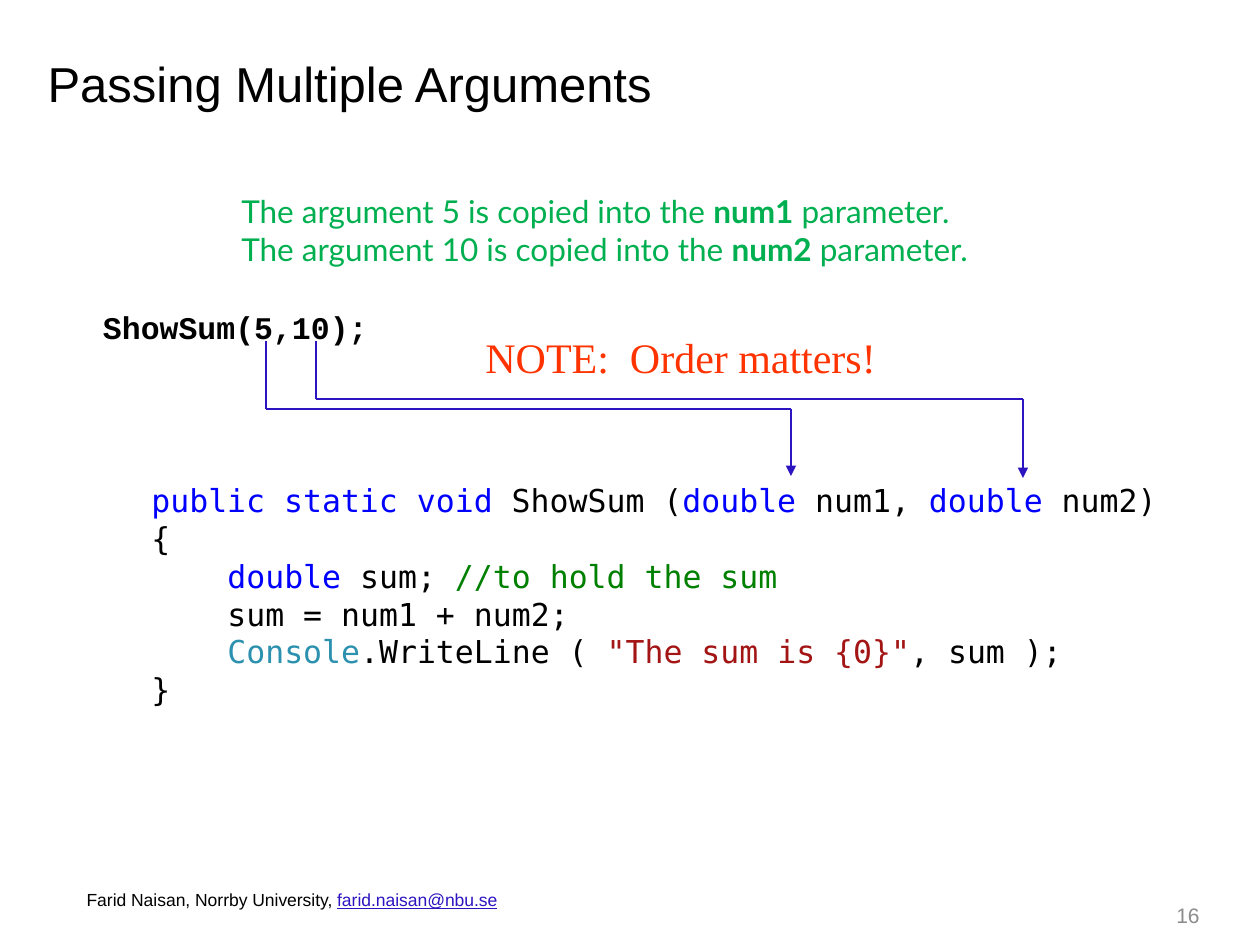
from dataclasses import dataclass
from itertools import pairwise

from lxml.etree import SubElement
from pptx import Presentation
from pptx.dml.color import RGBColor
from pptx.enum.shapes import MSO_CONNECTOR
from pptx.enum.text import MSO_ANCHOR, MSO_AUTO_SIZE, PP_ALIGN
from pptx.oxml.ns import qn
from pptx.util import Pt

EMU_PER_PX = 914400 // 126


@dataclass(frozen=True)
class Theme:
    black: str = "000000"
    accent: str = "2C14C1"
    explanation: str = "00B050"
    warning: str = "FF3300"
    page: str = "8C8C8C"
    keyword: str = "0000FF"
    comment: str = "008000"
    type_name: str = "2B91AF"
    string: str = "A31515"
    sans: str = "Arial"
    call_font: str = "Courier New"
    code_font: str = "DejaVu Sans Mono"
    explanation_font: str = "Lato"
    warning_font: str = "Times New Roman"
    title_size: int = 28
    warning_size: int = 24
    body_size: int = 18
    page_size: int = 12
    footer_size: int = 10
    line_width: float = 0.75


THEME = Theme()


def px(value):
    return round(value * EMU_PER_PX)


def place(shape, box):
    shape.left, shape.top, shape.width, shape.height = map(px, box)


def style(paragraph, font, size, color=THEME.black, bold=None, align=PP_ALIGN.LEFT):
    paragraph.font.name = font
    paragraph.font.size = Pt(size)
    paragraph.font.color.rgb = RGBColor.from_string(color)
    paragraph.font.bold = bold
    paragraph.alignment = align
    paragraph.space_before = Pt(0)


def text_frame(slide, box, anchor=MSO_ANCHOR.TOP):
    frame = slide.shapes.add_textbox(*map(px, box)).text_frame
    frame.word_wrap = True
    frame.vertical_anchor = anchor
    return frame


def add_run(paragraph, text, color=None):
    run = paragraph.add_run()
    run.text = text
    if color:
        run.font.color.rgb = RGBColor.from_string(color)
    return run


# Title and method call, in the layout's placeholders
def add_title(slide, box, text):
    title = slide.shapes.title
    place(title, box)
    frame = title.text_frame
    frame.text = text
    frame.auto_size = MSO_AUTO_SIZE.NONE
    frame.vertical_anchor = MSO_ANCHOR.MIDDLE
    style(frame.paragraphs[0], THEME.sans, THEME.title_size)


def add_call(slide, box, text):
    body = slide.placeholders[1]
    place(body, box)
    frame = body.text_frame
    frame.text = text
    frame.auto_size = MSO_AUTO_SIZE.NONE
    frame.margin_left, frame.margin_top = px(50), px(134)
    call = frame.paragraphs[0]
    style(call, THEME.call_font, THEME.body_size, bold=True)
    properties = call._p.get_or_add_pPr()
    properties.set("marL", "0")
    properties.set("indent", "0")
    SubElement(properties, qn("a:buNone"))


# Explanation of which argument goes where
def add_explanation(slide, box, copies):
    paragraph = text_frame(slide, box).paragraphs[0]
    style(paragraph, THEME.explanation_font, THEME.body_size, THEME.explanation)
    for index, (argument, parameter) in enumerate(copies):
        if index:
            paragraph.add_line_break()
        add_run(paragraph, f"The argument {argument} is copied into the ")
        add_run(paragraph, parameter).font.bold = True
        add_run(paragraph, " parameter.")


# Paths from each argument down, across and down to its parameter
def add_argument_paths(slide, box, routes):
    left, top, _, _ = box
    for start, turn, end, tip in routes:
        corners = [(start, 0), (start, turn), (end, turn), (end, tip)]
        for (x1, y1), (x2, y2) in pairwise(corners):
            segment = slide.shapes.add_connector(
                MSO_CONNECTOR.STRAIGHT,
                px(left + x1), px(top + y1), px(left + x2), px(top + y2))
            segment.line.color.rgb = RGBColor.from_string(THEME.accent)
            segment.line.width = Pt(THEME.line_width)
            if y2 == tip:
                SubElement(segment.line._get_or_add_ln(), qn("a:tailEnd"), type="triangle")
            SubElement(segment._element.spPr, qn("a:effectLst"))


# Method definition with coloured syntax
def add_code(slide, box, lines, indent):
    frame = text_frame(slide, box)
    for index, (level, tokens) in enumerate(lines):
        paragraph = frame.add_paragraph() if index else frame.paragraphs[0]
        style(paragraph, THEME.code_font, THEME.body_size)
        paragraph._p.get_or_add_pPr().set("marL", str(px(level * indent)))
        for text, color in tokens:
            add_run(paragraph, text, color)


def add_note(slide, box, text):
    note = text_frame(slide, box).paragraphs[0]
    note.text = text
    style(note, THEME.warning_font, THEME.warning_size, THEME.warning)


# Footer and page number
def add_footer(slide, box, author, address):
    footer = text_frame(slide, box, MSO_ANCHOR.BOTTOM).paragraphs[0]
    style(footer, THEME.sans, THEME.footer_size, align=PP_ALIGN.CENTER)
    add_run(footer, author)
    add_run(footer, address, THEME.accent).font.underline = True


def add_page_number(slide, box, number):
    page = text_frame(slide, box, MSO_ANCHOR.MIDDLE).paragraphs[0]
    page.text = number
    style(page, THEME.sans, THEME.page_size, THEME.page, align=PP_ALIGN.RIGHT)


CODE = [
    (0, [("public static void ", THEME.keyword), ("ShowSum (", None),
         ("double", THEME.keyword), (" num1, ", None),
         ("double", THEME.keyword), (" num2)", None)]),
    (0, [("{", None)]),
    (1, [("double", THEME.keyword), (" sum; ", None),
         ("//to hold the sum", THEME.comment)]),
    (1, [("sum = num1 + num2;", None)]),
    (1, [("Console", THEME.type_name), (".WriteLine ( ", None),
         ('"The sum is {0}"', THEME.string), (", sum );", None)]),
    (0, [("}", None)]),
]

presentation = Presentation()
presentation.slide_width, presentation.slide_height = px(1260), px(945)
slide = presentation.slides.add_slide(presentation.slide_layouts[1])

add_title(slide, (35, 48, 1177, 69), "Passing Multiple Arguments")
add_call(slide, (53, 174, 1148, 673), "ShowSum(5,10);")
add_page_number(slide, (1119, 890, 93, 50), "16")
add_explanation(slide, (229, 186, 888, 89), [("5", "num1"), ("10", "num2")])
add_argument_paths(slide, (266, 341, 757, 137), [(0, 68, 525, 135), (50, 58, 757, 137)])
add_note(slide, (473, 325, 546, 63), "NOTE:  Order matters!")
add_code(slide, (139, 475, 1055, 242), CODE, indent=76)
add_footer(slide, (52, 877, 480, 39), "Farid Naisan, Norrby University, ", "farid.naisan@nbu.se")

presentation.save("out.pptx")
